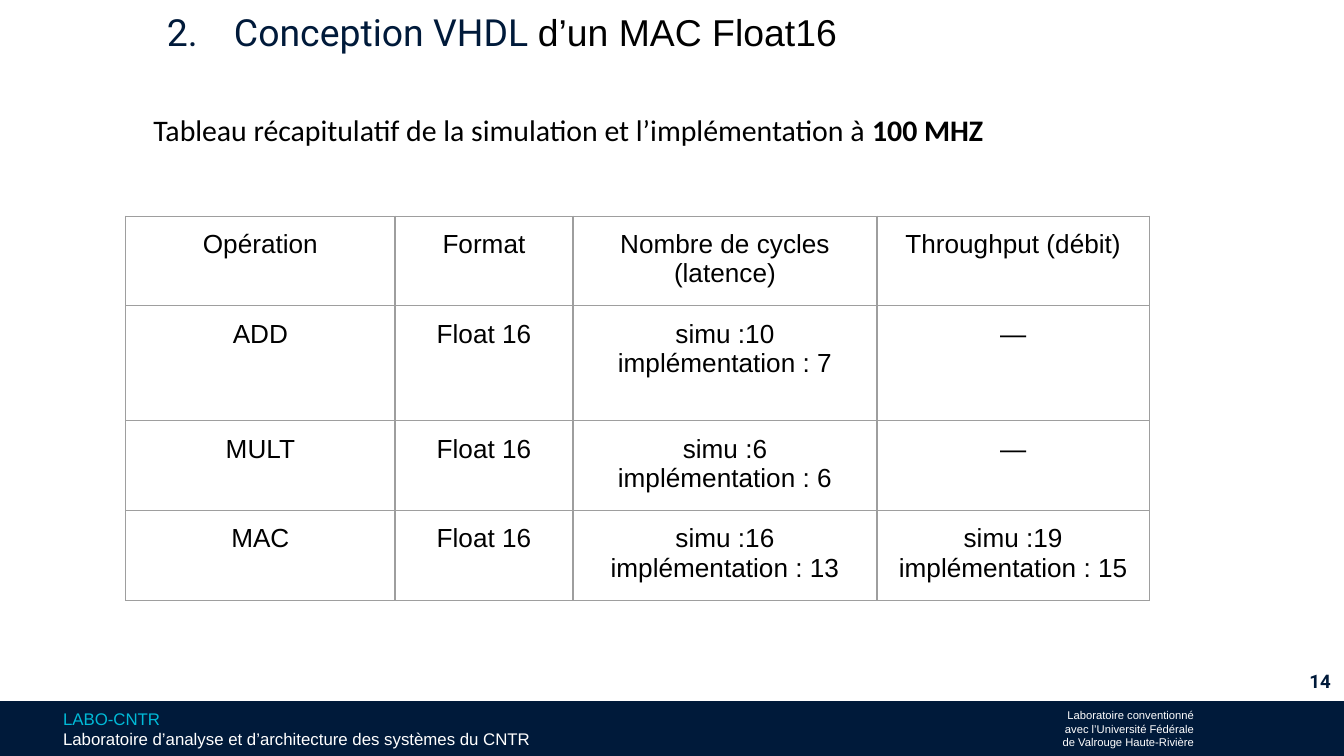
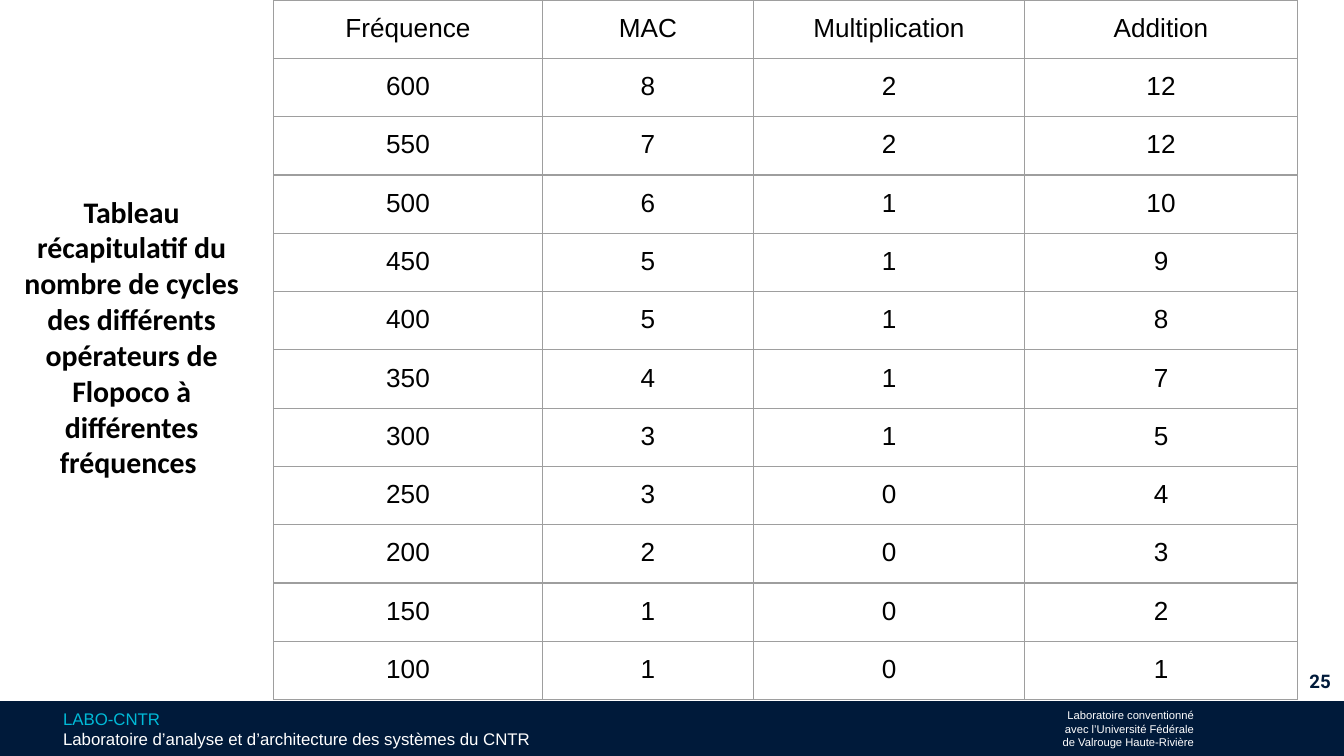
import pptx
import pptx.dml.color
import pptx.enum.shapes
import pptx.enum.text
import pptx.oxml
import pptx.oxml.ns
import pptx.util

Pt = pptx.util.Pt
ALIGN = pptx.enum.text.PP_ALIGN
ANCHOR = pptx.enum.text.MSO_ANCHOR

COLORS = {
    "navy": "001A3A",
    "cyan": "00BAD7",
    "white": "FFFFFF",
    "black": "000000",
    "grid": "9E9E9E",
}
SLIDE_W, SLIDE_H = 720, 405
FOOTER_BOX = (0, 375.6, SLIDE_W, 29.4)
PAGE_NUMBER_BOX = (676.8, 352.8, 43.2, 23)

# Run styles: font, size, colour, bold
TITLE_NAVY = ("Roboto", 20, "navy", False)
TITLE_BLACK = ("Arial", 20, "black", False)
SUBTITLE = ("Calibri", 16, "black", False)
SUBTITLE_BOLD = ("Calibri", 16, "black", True)
CELL = ("Arial", 14, "black", False)
LAB_SHORT = ("Arial", 9, "cyan", False)
LAB_FULL = ("Arial", 9, "white", False)
AFFILIATION = ("Arial", 6, "white", False)
PAGE_NUMBER = ("Roboto", 10, "navy", True)


def rgb(name):
    return pptx.dml.color.RGBColor.from_string(COLORS[name])


def add_run(paragraph, text, style):
    font_name, size, color, bold = style
    lines = text.split("\n")
    for index, line in enumerate(lines):
        if index:
            paragraph.add_line_break()
        run = paragraph.add_run()
        run.text = line
        run.font.name = font_name
        run.font.size = Pt(size)
        run.font.bold = bold
        run.font.color.rgb = rgb(color)


def add_text(slide, box, runs, align=ALIGN.LEFT, anchor=ANCHOR.TOP, inset=(5, 5)):
    """Place one paragraph of (text, style) runs; inset is (sides, top and bottom)."""
    frame = slide.shapes.add_textbox(*map(Pt, box)).text_frame
    frame.word_wrap = True
    frame.vertical_anchor = anchor
    frame.margin_left = frame.margin_right = Pt(inset[0])
    frame.margin_top = frame.margin_bottom = Pt(inset[1])
    paragraph = frame.paragraphs[0]
    paragraph.alignment = align
    for text, style in runs:
        add_run(paragraph, text, style)


def add_footer(slide, box):
    left, top, width, height = box
    band = slide.shapes.add_shape(
        pptx.enum.shapes.MSO_SHAPE.RECTANGLE, *map(Pt, box))
    band.shadow.inherit = False
    band.fill.solid()
    band.fill.fore_color.rgb = rgb("navy")
    band.line.fill.background()
    add_text(slide, (left + 28.8, top, width / 2, height),
             [("LABO-CNTR\n", LAB_SHORT),
              ("Laboratoire d’analyse et d’architecture des systèmes du CNTR", LAB_FULL)],
             anchor=ANCHOR.MIDDLE, inset=(5, 3))
    add_text(slide, (left + 551.5, top + 1, 93, height - 2),
             [("Laboratoire conventionné\navec l’Université Fédérale\n"
               "de Valrouge Haute-Rivière", AFFILIATION)],
             align=ALIGN.RIGHT, inset=(5, 3))


def add_page_number(slide, box, number):
    add_text(slide, box, [(str(number), PAGE_NUMBER)],
             align=ALIGN.RIGHT, inset=(7.2, 7.2))


def set_borders(cell):
    properties = cell._tc.get_or_add_tcPr()
    namespace = pptx.oxml.ns.nsdecls("a")
    for side in "LRTB":
        properties.append(pptx.oxml.parse_xml(
            f'<a:ln{side} {namespace} w="{Pt(0.75)}"><a:solidFill>'
            f'<a:srgbClr val="{COLORS["grid"]}"/></a:solidFill></a:ln{side}>'))


def fill_cell(cell, text):
    cell.margin_left = cell.margin_right = Pt(7.2)
    cell.margin_top = cell.margin_bottom = Pt(7.2)
    set_borders(cell)
    cell.fill.background()
    for index, line in enumerate(text.split("\n")):
        frame = cell.text_frame
        paragraph = frame.add_paragraph() if index else frame.paragraphs[0]
        paragraph.alignment = ALIGN.CENTER
        add_run(paragraph, line, CELL)


def add_grid(slide, corner, column_widths, row_heights, rows):
    table = slide.shapes.add_table(
        len(rows), len(column_widths), *map(Pt, corner),
        Pt(sum(column_widths)), Pt(sum(row_heights))).table
    table.first_row = table.horz_banding = False
    for column, width in zip(table.columns, column_widths):
        column.width = Pt(width)
    for row, height, texts in zip(table.rows, row_heights, rows):
        row.height = Pt(height)
        for cell, text in zip(row.cells, texts):
            fill_cell(cell, str(text))


def start_slide(deck, number):
    slide = deck.slides.add_slide(deck.slide_layouts[6])
    add_footer(slide, FOOTER_BOX)
    add_page_number(slide, PAGE_NUMBER_BOX, number)
    return slide


def add_mac_slide(deck):
    operations = [
        ("Opération", "Format", "Nombre de cycles (latence)", "Throughput (débit)"),
        ("ADD", "Float 16", "simu :10\nimplémentation : 7", "—"),
        ("MULT", "Float 16", "simu :6\nimplémentation : 6", "—"),
        ("MAC", "Float 16", "simu :16\nimplémentation : 13",
         "simu :19\nimplémentation : 15"),
    ]
    slide = start_slide(deck, 14)
    add_text(slide, (84.4, 0, 665, 38),
             [("2.\tConception VHDL ", TITLE_NAVY), ("d’un MAC Float16", TITLE_BLACK)])
    add_text(slide, (77.2, 54.7, 618, 34),
             [("Tableau récapitulatif de la simulation et l’implémentation à ", SUBTITLE),
              ("100 MHZ", SUBTITLE_BOLD)])
    add_grid(slide, (67.4, 115.8), (144.2, 95.4, 162.8, 146),
             (47.8, 61.6, 48, 48), operations)


def add_frequency_slide(deck):
    frequencies = range(600, 99, -50)
    mac = (8, 7, 6, 5, 5, 4, 3, 3, 2, 1, 1)
    multiplication = (2, 2, 1, 1, 1, 1, 1, 0, 0, 0, 0)
    addition = (12, 12, 10, 9, 8, 7, 5, 4, 3, 2, 1)
    cycles = [("Fréquence", "MAC", "Multiplication", "Addition"),
              *zip(frequencies, mac, multiplication, addition)]
    slide = start_slide(deck, 25)
    add_grid(slide, (146.6, 0), (144, 113, 145.4, 146),
             [31.15] * len(cycles), cycles)
    add_text(slide, (4.3, 98.6, 132.5, 177),
             [("Tableau récapitulatif du nombre de cycles des différents opérateurs "
               "de Flopoco à différentes fréquences ", SUBTITLE_BOLD)],
             align=ALIGN.CENTER)


def main():
    deck = pptx.Presentation()
    deck.slide_width, deck.slide_height = Pt(SLIDE_W), Pt(SLIDE_H)
    add_mac_slide(deck)
    add_frequency_slide(deck)
    deck.save("out.pptx")


if __name__ == "__main__":
    main()
